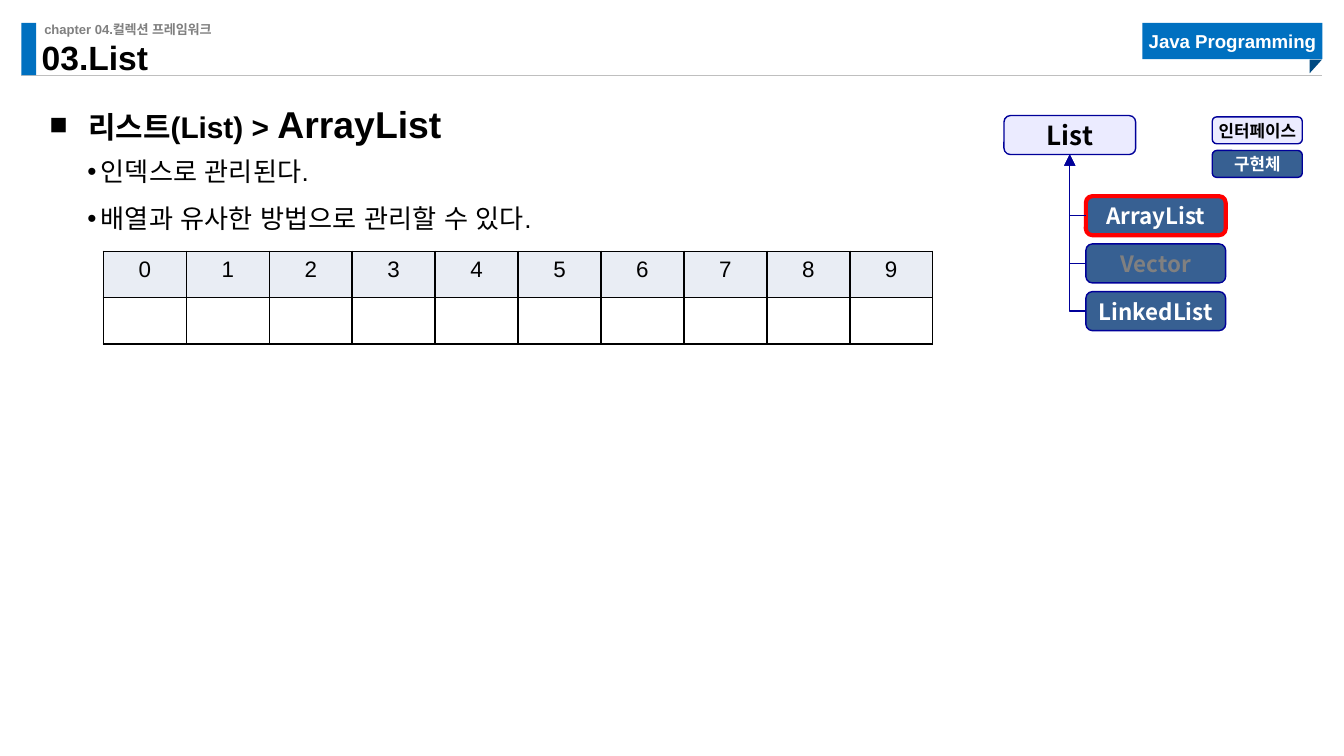
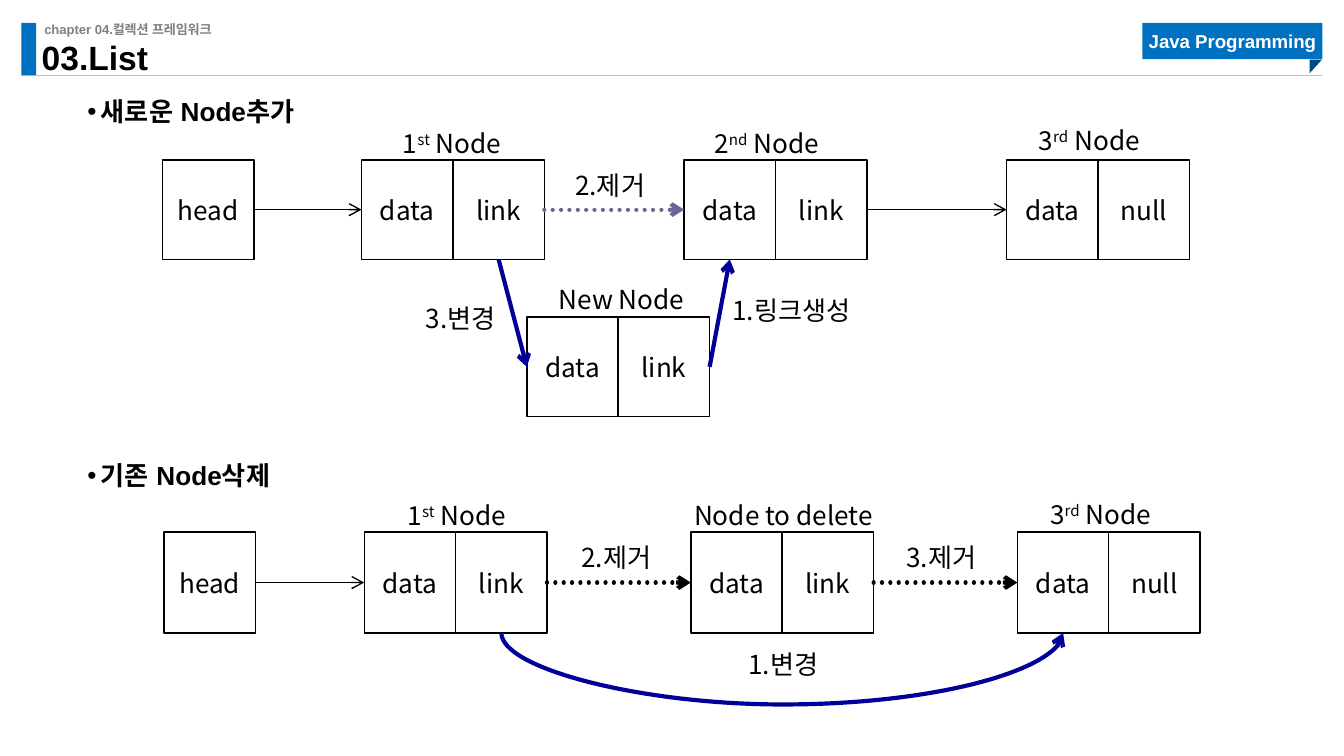
from lxml.etree import SubElement
from pptx import Presentation
from pptx.dml.color import RGBColor
from pptx.enum.dml import MSO_LINE
from pptx.enum.shapes import MSO_CONNECTOR as Link, MSO_SHAPE as Preset
from pptx.enum.text import MSO_ANCHOR as Anchor, MSO_AUTO_SIZE, PP_ALIGN as Align
from pptx.oxml.ns import qn
from pptx.util import Inches, Pt

LATIN, CJK = "Arial", "Noto Sans CJK KR"
BLACK, WHITE, GRAY = "000000", "FFFFFF", "808080"
BLUE, FOLD_BLUE, RULE_GRAY = "0070C0", "004A82", "BFBFBF"
NAVY, PALE, STEEL, RED = "000099", "EBEBFF", "376092", "FF0000"
MUTED, HEADER_FILL = "666699", "E9EDF4"
TOP, LEFT, BOTTOM, RIGHT = range(4)
DOT = MSO_LINE.ROUND_DOT
CELL_WIDTH = 0.68


def color(value):
    return RGBColor.from_string(value)


def inches(*lengths):
    return [Inches(length) for length in lengths]


def write(frame, paragraphs, size=14, font=CJK, ink=BLACK, bold=False, align=Align.LEFT,
          anchor=Anchor.TOP, wrap=True, spacing=None, before=None, bullet=None, indent=None):
    """Fill a frame; a paragraph is a string or a list of (text, size, superscript)."""
    frame.auto_size = MSO_AUTO_SIZE.NONE
    frame.word_wrap = wrap
    frame.vertical_anchor = anchor
    frame.margin_left = frame.margin_top = frame.margin_right = frame.margin_bottom = 0
    for number, content in enumerate(paragraphs):
        paragraph = frame.add_paragraph() if number else frame.paragraphs[0]
        paragraph.alignment = align
        if spacing:
            paragraph.line_spacing = spacing
        if before:
            paragraph.space_before = Pt(before)
        if bullet:
            margin, hang = inches(*indent)
            properties = paragraph._p.get_or_add_pPr()
            properties.set("marL", str(margin))
            properties.set("indent", str(-hang))
            SubElement(properties, qn("a:buFont"), typeface=LATIN)
            SubElement(properties, qn("a:buChar"), char=bullet)
        if not content:
            SubElement(paragraph._p, qn("a:endParaRPr"), sz=str(size * 100))
            continue
        runs = [(content, size, False)] if isinstance(content, str) else content
        for words, run_size, raised in runs:
            run = paragraph.add_run()
            run.text = words
            run.font.size, run.font.name, run.font.bold = Pt(run_size), font, bold
            run.font.color.rgb = color(ink)
            SubElement(run.font._element, qn("a:ea"), typeface=font)
            if raised:
                run.font._element.set("baseline", "30000")


def add_text(slide, box, *paragraphs, **style):
    write(slide.shapes.add_textbox(*inches(*box)).text_frame, paragraphs, **style)


def add_box(slide, box, text=None, preset=Preset.RECTANGLE, fill=None, line=None,
            weight=0.75, **style):
    shape = slide.shapes.add_shape(preset, *inches(*box))
    shape.shadow.inherit = False
    if fill:
        shape.fill.solid()
        shape.fill.fore_color.rgb = color(fill)
    else:
        shape.fill.background()
    if line:
        shape.line.color.rgb = color(line)
        shape.line.width = Pt(weight)
    else:
        shape.line.fill.background()
    if text:
        write(shape.text_frame, [text], align=Align.CENTER, anchor=Anchor.MIDDLE, **style)
    return shape


def add_line(slide, start, end, ink=BLACK, weight=0.75, dash=None, head=None, kind=Link.STRAIGHT):
    """Draw from start to end, each an (x, y) point or a (shape, side) joint."""
    points = [(0, 0) if hasattr(spot, "shape_id") else (spot, side)
              for spot, side in (start, end)]
    line = slide.shapes.add_connector(kind, *inches(*points[0], *points[1]))
    for (spot, side), join in ((start, line.begin_connect), (end, line.end_connect)):
        if hasattr(spot, "shape_id"):
            join(spot, side)
    line.line.color.rgb = color(ink)
    line.line.width = Pt(weight)
    stroke = line.line._get_or_add_ln()
    if dash:
        line.line.dash_style = dash
        stroke.set("cap", "rnd")
    if head:
        SubElement(stroke, qn("a:tailEnd"), type=head)
    SubElement(line._element.spPr, qn("a:effectLst"))
    return line


def add_page(deck, title):
    """Shared frame: rule, accent bar, chapter line, title and course tag."""
    slide = deck.slides.add_slide(deck.slide_layouts[5])
    add_line(slide, (0.16, 0.56), (9.84, 0.56), ink=RULE_GRAY, weight=0.5)
    add_box(slide, (0.16, 0.17, 0.11, 0.39), fill=BLUE)
    add_text(slide, (0.33, 0.16, 3.23, 0.12), "chapter 04.컬렉션 프레임워크",
             size=7, font=LATIN, ink=GRAY, bold=True)
    add_box(slide, (8.5, 0.17, 1.34, 0.27), "Java Programming", fill=BLUE,
            size=10, font=LATIN, ink=WHITE, bold=True)
    fold = add_box(slide, (9.74, 0.45, 0.1, 0.09), preset=Preset.RIGHT_TRIANGLE, fill=FOLD_BLUE)
    fold.rotation = 90
    heading = slide.shapes.title
    heading.left, heading.top, heading.width, heading.height = inches(0.31, 0.35, 3.3, 0.23)
    write(heading.text_frame, [title], size=18, font=LATIN, bold=True,
          anchor=Anchor.BOTTOM, spacing=0.9)
    return slide


def add_index_table(slide, box, count=10):
    table = slide.shapes.add_table(2, count, *inches(*box)).table
    for index in range(count):
        for number, (label, fill) in enumerate(((str(index), HEADER_FILL), ("", WHITE))):
            cell = table.cell(number, index)
            write(cell.text_frame, [label], size=12, font=LATIN, align=Align.CENTER)
            (cell.margin_left, cell.margin_top,
             cell.margin_right, cell.margin_bottom) = inches(0.09, 0.04, 0.09, 0.04)
            properties = cell._tc.get_or_add_tcPr()
            for edge in ("a:lnL", "a:lnR", "a:lnT", "a:lnB"):
                border = SubElement(properties, qn(edge), w=str(Pt(1)))
                SubElement(SubElement(border, qn("a:solidFill")), qn("a:srgbClr"), val=BLACK)
            cell.fill.solid()
            cell.fill.fore_color.rgb = color(fill)


def add_hierarchy(slide, left, top):
    """Interface box with its implementations hanging below it."""
    rounded = dict(preset=Preset.ROUNDED_RECTANGLE, bold=True, wrap=False)
    interface = add_box(slide, (left, top, 0.98, 0.29), "List", fill=PALE, line=NAVY, **rounded)
    classes = (("ArrayList", WHITE, RED, 2.25), ("Vector", GRAY, NAVY, 0.75),
               ("LinkedList", WHITE, NAVY, 0.75))
    implementations = [
        add_box(slide, (left + 0.61, top + 0.6 + 0.71 * row / 2, 1.04, 0.29), name, fill=STEEL,
                line=edge, weight=weight, size=12, ink=ink, **rounded)
        for row, (name, ink, edge, weight) in enumerate(classes)]
    for implementation in implementations:
        branch = add_line(slide, (implementation, LEFT), (interface, BOTTOM), ink=NAVY,
                          head="triangle", kind=Link.ELBOW)
        branch._element.spPr.find(qn("a:prstGeom")).set("prst", "bentConnector2")
    # Legend
    legend = (("인터페이스", PALE, BLACK, CJK), ("구현체", STEEL, WHITE, "Calibri"))
    for row, (name, fill, ink, font) in enumerate(legend):
        add_box(slide, (left + 1.55, top + 0.01 + 0.25 * row, 0.67, 0.2), name, fill=fill,
                line=NAVY, size=9, ink=ink, font=font, **rounded)


def add_node(slide, left, top, height, second="link"):
    return [add_box(slide, (left + CELL_WIDTH * part, top, CELL_WIDTH, height), word, line=BLACK)
            for part, word in enumerate(("data", second))]


def add_caption(slide, box, content):
    add_text(slide, box, content, align=Align.CENTER, anchor=Anchor.MIDDLE)


def add_chain(slide, left, top, height, lead, pitch, captions, links):
    """Head cell and three linked nodes; captions sit relative to their node."""
    head = add_box(slide, (left, top, CELL_WIDTH, height), "head", line=BLACK)
    nodes = []
    for index, (content, shift, rise, width) in enumerate(captions):
        node_left = left + lead + pitch * index
        nodes.append(add_node(slide, node_left, top, height, "null" if index == 2 else "link"))
        add_caption(slide, (node_left + shift, top - rise, width, 0.37), content)
    sources = [head, nodes[0][1], nodes[1][1]]
    for source, node, style in zip(sources, nodes, links):
        add_line(slide, (source, RIGHT), (node[0], LEFT), head="arrow", **style)
    return nodes


def add_detour(slide, source, target, depth):
    """Curve that dips below two cells of one row."""
    curve = add_line(slide, (source, BOTTOM), (target, BOTTOM), ink=NAVY, weight=2.25,
                     head="arrow", kind=Link.CURVE)
    middle, span, base = curve.left + curve.width // 2, curve.width, curve.top
    thin = Pt(0.1)
    curve.left, curve.top = middle - thin // 2, base - span // 2
    curve.width, curve.height = thin, span
    # A quarter turn with one flip keeps the start on the left
    frame = curve._element.spPr.find(qn("a:xfrm"))
    for setting, value in (("rot", 270 * 60000), ("flipH", 1), ("flipV", 0)):
        frame.set(setting, str(value))
    guides = curve._element.spPr.find(qn("a:prstGeom")).get_or_add_avLst()
    SubElement(guides, qn("a:gd"), name="adj1",
               fmla=f"val {round(Inches(depth) / thin * 100000)}")


def add_point(slide, top, text):
    add_text(slide, (0.35, top, 8.55, 0.28), text, font=LATIN, bold=True,
             before=6, bullet="•", indent=(0.4, 0.1))


def ordinal(number, suffix):
    return [(number, 14, False), (suffix, 14, True), (" Node", 14, False)]


def array_list_slide(deck):
    slide = add_page(deck, "03.List")
    add_text(slide, (0.37, 0.59, 9.54, 0.33),
             [("리스트(List) > ", 16, False), ("ArrayList", 20, False)],
             font=LATIN, bold=True, spacing=1.5, bullet="■", indent=(0.29, 0.29))
    add_text(slide, (0.35, 1.04, 8.55, 0.25), "인덱스로 관리된다.",
             "배열과 유사한 방법으로 관리할 수 있다.",
             font=LATIN, spacing=1.5, bullet="•", indent=(0.4, 0.1))
    add_index_table(slide, (0.77, 1.87, 6.17, 0.69))
    add_hierarchy(slide, 7.47, 0.86)


def insert_diagram(slide, left, top):
    captions = ((ordinal("1", "st"), 0.06, 0.31, 1.23), (ordinal("2", "nd"), 0, 0.31, 1.23),
                (ordinal("3", "rd"), 0, 0.33, 1.23))
    first, second, _ = add_chain(slide, left, top, 0.74, 1.48, 2.4, captions,
                                 ({}, dict(ink=MUTED, weight=2.25, dash=DOT), {}))
    new = add_node(slide, left + 2.71, top + 1.17, 0.74)
    add_caption(slide, (left + 2.77, top + 0.85, 1.29, 0.37), "New Node")
    for start, end in (((first[1], BOTTOM), (new[0], LEFT)),
                       ((new[1], RIGHT), (second[0], BOTTOM))):
        add_line(slide, start, end, ink=NAVY, weight=2.25, head="arrow")
    add_caption(slide, (left + 4.19, top + 0.93, 0.98, 0.37), "1.링크생성")
    add_caption(slide, (left + 2.96, top, 0.74, 0.37), "2.제거")
    add_caption(slide, (left + 1.85, top + 0.99, 0.74, 0.37), "3.변경")


def delete_diagram(slide, left, top):
    captions = ((ordinal("1", "st"), 0.07, 0.31, 1.24), ("Node to delete", -0.12, 0.31, 1.62),
                (ordinal("3", "rd"), 0, 0.32, 1.24))
    removed = dict(weight=2.25, dash=DOT)
    first, _, third = add_chain(slide, left, top, 0.75, 1.49, 2.43, captions,
                                ({}, removed, removed))
    add_detour(slide, first[1], third[0], 0.47)
    add_caption(slide, (left + 4.11, top + 0.8, 1, 0.37), "1.변경")
    add_caption(slide, (left + 2.99, top, 0.75, 0.37), "2.제거")
    add_caption(slide, (left + 5.41, top, 0.75, 0.37), "3.제거")


def linked_node_slide(deck):
    slide = add_page(deck, "03.List")
    add_point(slide, 0.71, "새로운 Node추가")
    insert_diagram(slide, 1.21, 1.19)
    add_point(slide, 3.42, "기존 Node삭제")
    delete_diagram(slide, 1.22, 3.96)


def main():
    deck = Presentation()
    deck.slide_width = Inches(10)
    deck.slide_height = deck.slide_width * 9 // 16
    array_list_slide(deck)
    linked_node_slide(deck)
    deck.save("out.pptx")


if __name__ == "__main__":
    main()
